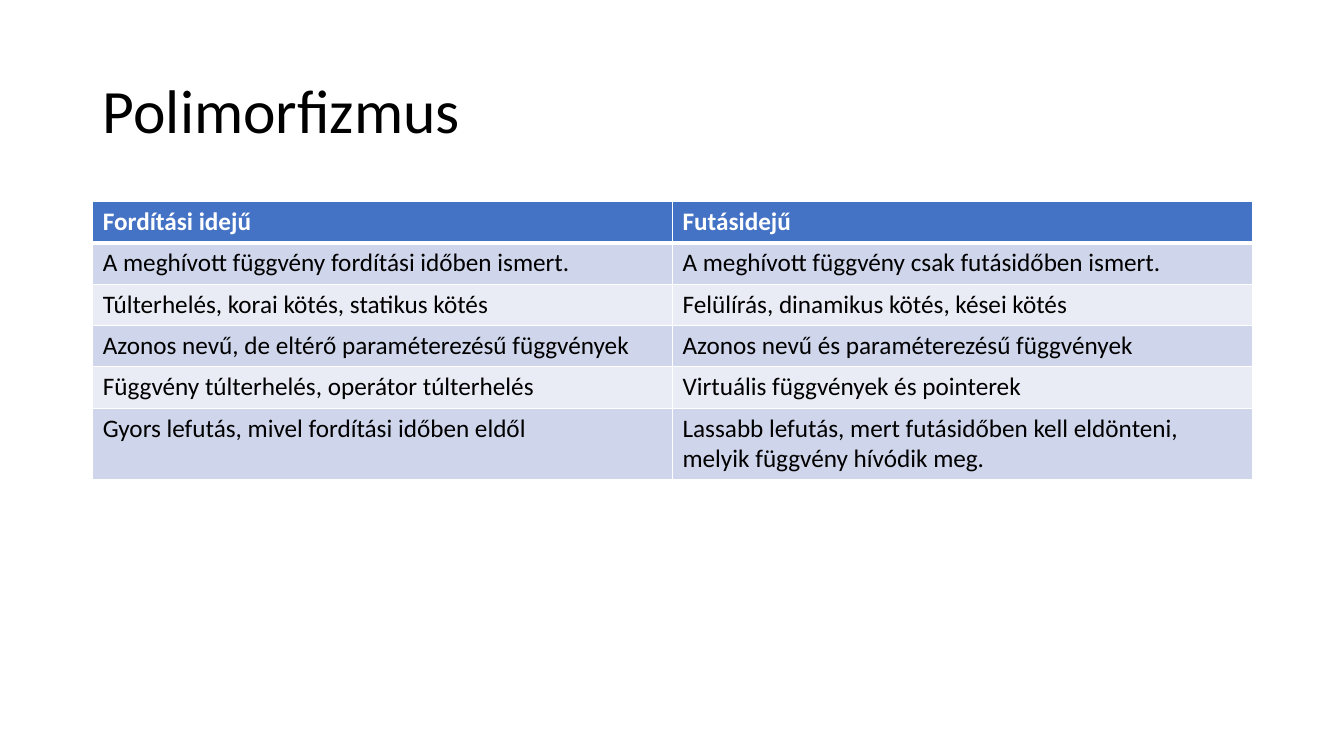
"""Build a slide comparing compile-time and run-time polymorphism."""
import pptx
import pptx.dml.color
import pptx.enum.text
import pptx.oxml
import pptx.oxml.ns
import pptx.util
from pptx.util import Inches

COMPARISON = [
    ("Fordítási idejű", "Futásidejű"),
    ("A meghívott függvény fordítási időben ismert.",
     "A meghívott függvény csak futásidőben ismert."),
    ("Túlterhelés, korai kötés, statikus kötés",
     "Felülírás, dinamikus kötés, kései kötés"),
    ("Azonos nevű, de eltérő paraméterezésű függvények",
     "Azonos nevű és paraméterezésű függvények"),
    ("Függvény túlterhelés, operátor túlterhelés",
     "Virtuális függvények és pointerek"),
    ("Gyors lefutás, mivel fordítási időben eldől",
     "Lassabb lefutás, mert futásidőben kell eldönteni, melyik függvény hívódik meg."),
]


def color(value):
    return pptx.dml.color.RGBColor.from_string(value)


class SlideBuilder:
    font_name = "Calibri"
    text_color = "000000"
    header_color = "4472C4"
    band_colors = ("E9EBF5", "CFD5EA")
    border_color = "FFFFFF"

    def __init__(self, page):
        self.page = page

    def format_font(self, paragraph, size, value, bold=False):
        font = paragraph.font
        font.name = self.font_name
        font.size = pptx.util.Pt(size)
        font.bold = bold
        font.color.rgb = color(value)

    def title(self, text, left, top, width, height):
        box = self.page.shapes.title
        box.left, box.top = Inches(left), Inches(top)
        box.width, box.height = Inches(width), Inches(height)
        frame = box.text_frame
        frame.text = text
        frame.word_wrap = True
        frame.vertical_anchor = pptx.enum.text.MSO_ANCHOR.MIDDLE
        paragraph = frame.paragraphs[0]
        paragraph.alignment = pptx.enum.text.PP_ALIGN.LEFT
        paragraph.line_spacing = 0.9
        self.format_font(paragraph, 44, self.text_color)

    def border(self, cell, side, points):
        namespace = pptx.oxml.ns.nsdecls("a")
        cell._tc.get_or_add_tcPr().append(pptx.oxml.parse_xml(
            f'<a:{side} {namespace} w="{pptx.util.Pt(points)}"><a:solidFill>'
            f'<a:srgbClr val="{self.border_color}"/></a:solidFill></a:{side}>'))

    def cell(self, cell, text, row):
        is_header = row == 0
        for side in ("lnL", "lnR", "lnT", "lnB"):
            thick = (is_header and side == "lnB") or (row == 1 and side == "lnT")
            self.border(cell, side, 3 if thick else 1)
        cell.fill.solid()
        cell.fill.fore_color.rgb = color(
            self.header_color if is_header else self.band_colors[row % 2])
        cell.text = text
        self.format_font(cell.text_frame.paragraphs[0], 18,
                         "FFFFFF" if is_header else self.text_color, is_header)

    def table(self, rows, left, top, width, row_height, last_height):
        height = row_height * (len(rows) - 1) + last_height
        table = self.page.shapes.add_table(
            len(rows), len(rows[0]), Inches(left), Inches(top),
            Inches(width), Inches(height)).table
        for row, texts in enumerate(rows):
            table.rows[row].height = Inches(row_height)
            for column, text in enumerate(texts):
                self.cell(table.cell(row, column), text, row)
        table.rows[len(rows) - 1].height = Inches(last_height)


def main():
    deck = pptx.Presentation()
    deck.slide_width, deck.slide_height = Inches(13.33), Inches(7.5)
    builder = SlideBuilder(deck.slides.add_slide(deck.slide_layouts[5]))
    builder.title("Polimorfizmus", 0.92, 0.4, 11.5, 1.45)
    builder.table(COMPARISON, 0.92, 2, 11.5, 0.41, 0.7)
    deck.save("out.pptx")


if __name__ == "__main__":
    main()
